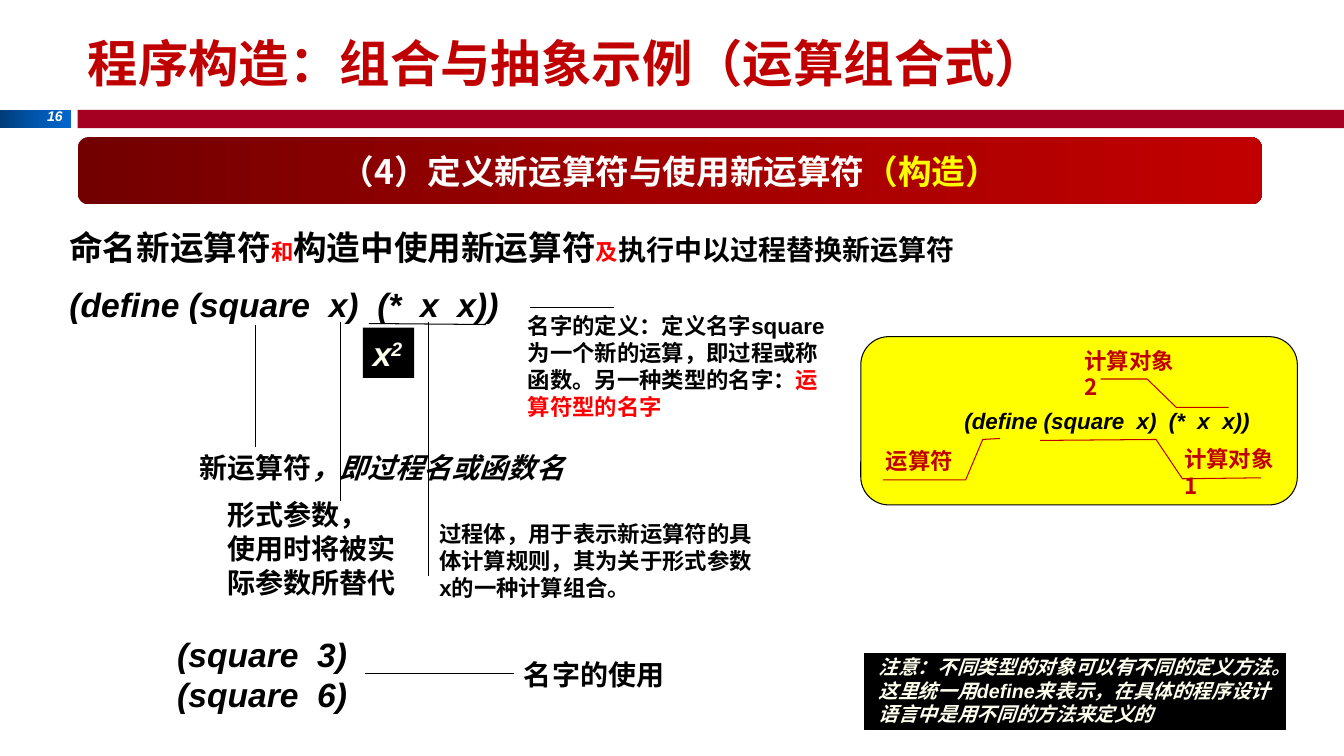
from copy import deepcopy
from dataclasses import dataclass
from typing import NamedTuple

from lxml import etree
from pptx import Presentation
from pptx import util as u
from pptx.dml.color import RGBColor
from pptx.enum import shapes, text
from pptx.oxml import ns

BLACK = RGBColor(0, 0, 0)
WHITE = RGBColor(255, 255, 255)
CREAM = RGBColor(0xFF, 0xFF, 0xEF)
RED = RGBColor(255, 0, 0)
DARK = RGBColor(0xC0, 0, 0)
WINE = RGBColor(0xA5, 0, 0x21)
YELLOW = RGBColor(255, 255, 0)
BLUES = (RGBColor(0, 0x3C, 0x79), RGBColor(0, 0x56, 0xAC), RGBColor(0, 0x66, 0xCC))
REDS = (RGBColor(0x72, 0, 0), RGBColor(0xA2, 0, 0), DARK)
ARIAL = "Arial"
NOTO = "Noto Sans CJK SC"
RECT = shapes.MSO_SHAPE.RECTANGLE
ROUND = shapes.MSO_SHAPE.ROUNDED_RECTANGLE
LEFT, MID, RIGHT = text.PP_ALIGN.LEFT, text.PP_ALIGN.CENTER, text.PP_ALIGN.RIGHT


class Box(NamedTuple):
    left: float
    top: float
    width: float
    height: float


@dataclass
class Run:
    words: str
    size: float
    color: RGBColor = BLACK
    font: str = NOTO
    slant: bool = False
    lift: int = 0


@dataclass
class Note:
    box: Box
    lines: list[list[Run]]
    wrap: bool = True
    align: text.PP_ALIGN = LEFT
    space: float = 1.0


def pts(nums) -> list:
    return [u.Pt(n) for n in nums]


def write(frame, lines: list[list[Run]], align=LEFT, space: float = 1.0) -> None:
    for i, line in enumerate(lines):
        para = frame.add_paragraph() if i else frame.paragraphs[0]
        para.alignment = align
        para.line_spacing = space
        for item in line:
            run = para.add_run()
            run.text = item.words
            font = run.font
            font.name, font.size = item.font, u.Pt(item.size)
            font.bold, font.italic = True, item.slant
            font.color.rgb = item.color
            props = run._r.get_or_add_rPr()
            etree.SubElement(props, ns.qn("a:ea")).set("typeface", NOTO)
            if item.lift:
                props.set("baseline", str(item.lift * 1000))


def add_note(slide, note: Note) -> None:
    frame = slide.shapes.add_textbox(*pts(note.box)).text_frame
    frame.word_wrap = note.wrap
    frame.auto_size = text.MSO_AUTO_SIZE.SHAPE_TO_FIT_TEXT
    write(frame, note.lines, note.align, note.space)


def add_block(slide, kind, box: Box, fills: tuple, edge: bool = False):
    shape = slide.shapes.add_shape(kind, *pts(box))
    shape.shadow.inherit = False
    if len(fills) == 1:
        shape.fill.solid()
        shape.fill.fore_color.rgb = fills[0]
    else:
        shape.fill.gradient()
        shape.fill.gradient_angle = 0
        first = shape.fill.gradient_stops[0]._gs
        first.addnext(deepcopy(first))
        for i, stop in enumerate(shape.fill.gradient_stops):
            stop.position = i / 2
            stop.color.rgb = fills[i]
    if edge:
        shape.line.color.rgb = BLACK
        shape.line.width = u.Pt(0.75)
    else:
        shape.line.fill.background()
    return shape


def add_line(slide, ends: tuple) -> None:
    line = slide.shapes.add_connector(shapes.MSO_CONNECTOR.STRAIGHT, *pts(ends))
    line.line.color.rgb = BLACK
    line.line.width = u.Pt(0.75)
    etree.SubElement(line._element.spPr, ns.qn("a:effectLst"))


def add_bend(slide, dots: list) -> None:
    path = [tuple(pts(dot)) for dot in dots]
    build = slide.shapes.build_freeform(*path[0], scale=1.0)
    build.add_line_segments(path[1:], close=False)
    shape = build.convert_to_shape()
    shape.shadow.inherit = False
    shape.fill.background()
    shape.line.color.rgb = DARK
    shape.line.width = u.Pt(0.75)


CODE = "(define (square  x)  (*  x  x))"

LINES = [
    (378.7, 219.6, 438.5, 219.6),
    (182.2, 231.8, 182.2, 319),
    (243.4, 229.7, 243.4, 357.8),
    (263.5, 231.1, 347, 231.8),
    (306, 229.7, 306, 411.1),
    (260.6, 481, 367.2, 481),
]

BENDS = [
    [(877.7, 290.9), (840.2, 290.9), (819.4, 270.7), (786.2, 270.7)],
    [(714.2, 313.2), (702, 313.9), (689.8, 342.7), (630.7, 342.7)],
    [(743, 314.6), (825.8, 313.9), (844.6, 342), (900.7, 341.3)],
]

NOTES = [
    Note(Box(25.2, 73.4, 26.6, 19.4), [[Run("16", 10, WHITE, ARIAL, True)]], False, RIGHT),
    Note(Box(42.5, 146.9, 680.4, 48.2), [[
        Run("命名新运算符", 24), Run("和", 16, RED), Run("构造中使用新运算符", 24),
        Run("及", 16, RED), Run("执行中以过程替换新运算符", 20)]], space=1.4),
    Note(Box(42.5, 199.4, 327.6, 36), [[Run(CODE, 24, BLACK, ARIAL, True)]], False),
    Note(Box(370, 219.6, 230.4, 85), [[
        Run("名字的定义：定义名字square为一个新的运算，即", 16, font=ARIAL),
        Run("过程", 16), Run("或称", 16, font=ARIAL), Run("函数", 16),
        Run("。另一种类型的名字：", 16, font=ARIAL),
        Run("运算符型的名字", 16, RED, ARIAL)]]),
    Note(Box(135.4, 318.2, 278.6, 31.7), [[
        Run("新运算符", 20), Run("，即过程名或函数名", 20, BLACK, ARIAL, True)]], False),
    Note(Box(155.5, 352.1, 151.2, 79.2), [
        [Run("形式参数", 20), Run("，", 20, font=ARIAL)],
        [Run("使用时将被实际参数所替代", 20, font=ARIAL)]]),
    Note(Box(306.7, 367.9, 237.6, 65.5), [[
        Run("过程体，用于表示新运算符的具体计算规则，其为关于形式参数x的一种计算组合。",
            16, font=ARIAL)]]),
    Note(Box(119.5, 449.3, 144, 65.5),
         [[Run(f"(square  {n})", 24, BLACK, ARIAL, True)] for n in (3, 6)], False),
    Note(Box(367.2, 465.8, 137.5, 31), [[Run("名字的使用", 20)]]),
    Note(Box(767.5, 244.1, 86.4, 26.6), [[Run("计算对象2", 16, DARK)]]),
    Note(Box(625.7, 316.1, 63.4, 26.6), [[Run("运算符", 16, DARK)]], False),
    Note(Box(681.8, 287.3, 226.1, 26.6), [[Run(CODE, 16, BLACK, ARIAL, True)]], False),
    Note(Box(838.8, 314.6, 86.4, 26.6), [[Run("计算对象1", 16, DARK)]]),
    Note(Box(620.6, 464.4, 295.2, 58.3), [[
        Run("注意：不同类型的对象可以有不同的定义方法。这里统一用define来表示，"
            "在具体的程序设计语言中是用不同的方法来定义的", 14, CREAM, ARIAL, True)]]),
]


def main() -> None:
    deck = Presentation()
    deck.slide_width, deck.slide_height = u.Pt(960), u.Pt(540)
    slide = deck.slides.add_slide(deck.slide_layouts[5])

    title = slide.shapes.title
    title.left, title.top, title.width, title.height = pts(Box(55.4, 14.4, 840.2, 59.8))
    frame = title.text_frame
    frame.auto_size = text.MSO_AUTO_SIZE.NONE
    frame.vertical_anchor = text.MSO_ANCHOR.MIDDLE
    write(frame, [[Run("程序构造：组合与抽象示例（运算组合式）", 36, DARK)]])

    add_block(slide, RECT, Box(0, 78.5, 51, 13), BLUES)
    add_block(slide, RECT, Box(55.4, 78.5, 904.6, 13), (WINE,))
    add_block(slide, ROUND, Box(614.9, 240.5, 311.8, 120.2), (YELLOW,), True)
    add_block(slide, RECT, Box(617.8, 466.6, 300.2, 54.7), (BLACK,), True)
    for ends in LINES:
        add_line(slide, ends)
    for dots in BENDS:
        add_bend(slide, dots)
    for note in NOTES:
        add_note(slide, note)

    power = add_block(slide, RECT, Box(259.2, 234, 36.7, 36), (BLACK,)).text_frame
    power.word_wrap = False
    write(power, [[Run("x", 24, CREAM, ARIAL, True), Run("2", 24, CREAM, ARIAL, True, 30)]])

    band = add_block(slide, ROUND, Box(55.4, 97.9, 846, 48.2), REDS).text_frame
    write(band, [[Run("（4）定义新运算符与使用新运算符", 24, WHITE),
                  Run("（构造）", 24, YELLOW)]], MID)
    deck.save("out.pptx")


if __name__ == "__main__":
    main()
